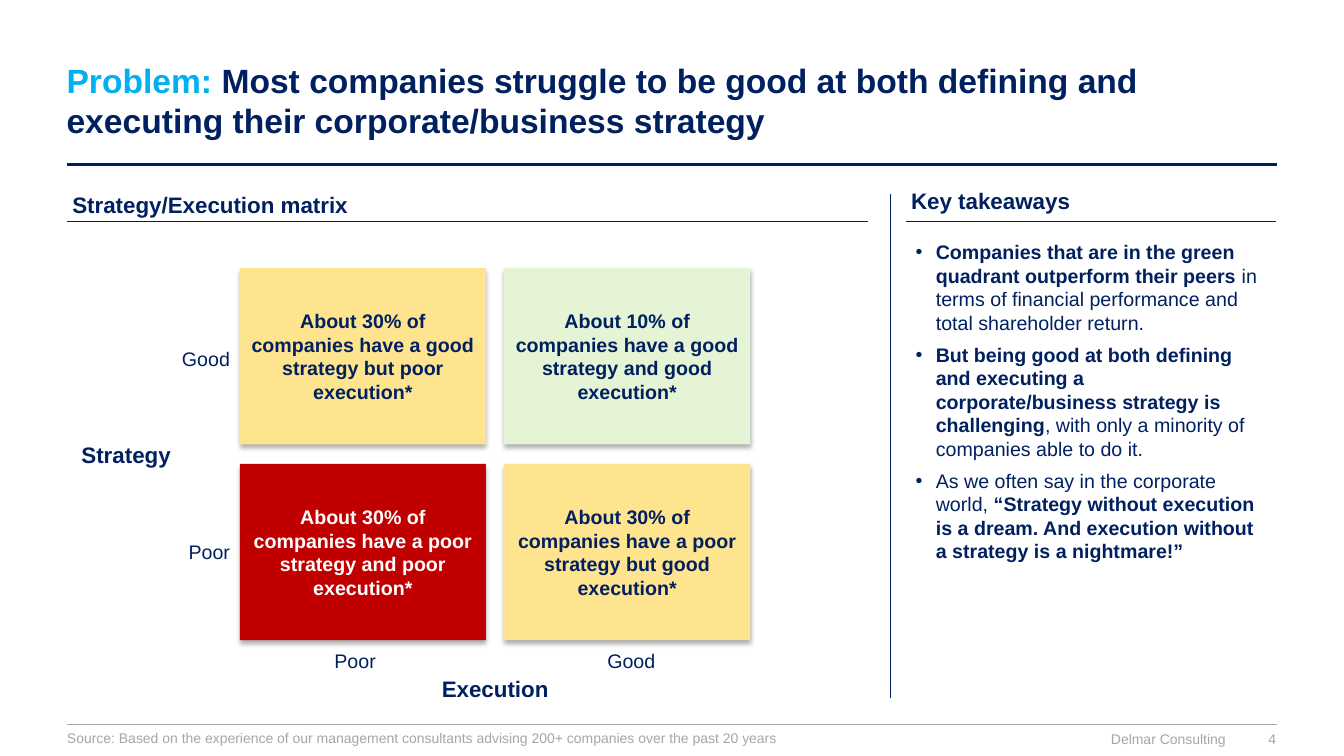
from lxml.etree import SubElement
from pptx import Presentation
from pptx.dml.color import RGBColor
from pptx.enum.shapes import MSO_CONNECTOR, MSO_SHAPE
from pptx.enum.text import MSO_ANCHOR, PP_ALIGN
from pptx.oxml.ns import qn
from pptx.util import Pt

COLORS = {
    "navy": "002060", "sky": "00B0F0", "gray": "A6A6A6", "white": "FFFFFF",
    "yellow": "FFE48F", "green": "E5F4D4", "red": "C00000", "black": "000000",
}
FONT = "Arial"
LEFT, CENTER, RIGHT = PP_ALIGN.LEFT, PP_ALIGN.CENTER, PP_ALIGN.RIGHT
TOP, MIDDLE = MSO_ANCHOR.TOP, MSO_ANCHOR.MIDDLE

TITLE = [
    ("Problem: ", True, "sky"),
    ("Most companies struggle to be good at both defining and executing "
     "their corporate/business strategy", True, "navy"),
]
TAKEAWAYS = [
    [("Companies that are in the green quadrant outperform their peers ", True, "navy"),
     ("in terms of financial performance and total shareholder return.", False, "navy")],
    [("But being good at both defining and executing a corporate/business "
      "strategy is challenging", True, "navy"),
     (", with only a minority of companies able to do it.", False, "navy")],
    [("As we often say in the corporate world, ", False, "navy"),
     ("“Strategy without execution is a dream. And execution without "
      "a strategy is a nightmare!”", True, "navy")],
]
QUADRANTS = [
    [("30%", "good strategy but poor", "yellow", "navy"),
     ("10%", "good strategy and good", "green", "navy")],
    [("30%", "poor strategy and poor", "red", "white"),
     ("30%", "poor strategy but good", "yellow", "navy")],
]
AXIS_LABELS = [
    ("Poor", 231.8, 458.6, LEFT), ("Good", 421.2, 458.6, RIGHT),
    ("Good", 117.4, 242.6, RIGHT), ("Poor", 117.4, 380.4, RIGHT),
]
AXIS_TITLES = [("Strategy", 31.4, 311.2), ("Execution", 295, 478.8)]
HEADINGS = [
    ("Strategy/Execution matrix", 44.6, 132.8, 573.8),
    ("Key takeaways", 643.7, 130.3, 265),
]
SOURCE = ("Source: Based on the experience of our management consultants "
          "advising 200+ companies over the past 20 years")
FIRM = "Delmar Consulting"
PAGE = "4"
RULES = [
    (47.7, 117.4, 912.2, 117.4, "navy", 2),
    (47.7, 517.7, 912.2, 517.7, "gray", 1),
    (47.7, 158.4, 620, 158.4, "navy", 0.5),
    (647.3, 158.4, 911.5, 158.4, "navy", 0.5),
    (635.8, 498.7, 635.8, 138.7, "navy", 0.5),
]
MATRIX_LEFT, MATRIX_TOP = 171.4, 191.5
QUADRANT_WIDTH, QUADRANT_HEIGHT = 175.7, 126
COLUMN_STEP, ROW_STEP = 188.8, 139.8
LABEL_WIDTH, LABEL_HEIGHT = 54, 26.6
AXIS_TITLE_WIDTH = 117.4


def rgb(color):
    return RGBColor.from_string(COLORS[color])


def add_bullet(paragraph):
    properties = paragraph._p.get_or_add_pPr()
    properties.set("marL", str(Pt(14.4)))
    properties.set("indent", str(-Pt(14.4)))
    SubElement(properties, qn("a:buFont")).set("typeface", FONT)
    SubElement(properties, qn("a:buChar")).set("char", "•")


def write(frame, paragraphs, size, align=LEFT, anchor=TOP, wrap=True,
          inset=True, bullets=False):
    frame.word_wrap = wrap
    frame.vertical_anchor = anchor
    if not inset:
        frame.margin_left = frame.margin_right = 0
        frame.margin_top = frame.margin_bottom = 0
    for index, runs in enumerate(paragraphs):
        paragraph = frame.add_paragraph() if index else frame.paragraphs[0]
        if bullets:
            add_bullet(paragraph)
            paragraph.space_before = Pt(3 if index else 0)
            paragraph.space_after = Pt(3)
        paragraph.alignment = align
        for words, bold, color in runs:
            run = paragraph.add_run()
            run.text = words
            run.font.name = FONT
            run.font.size = Pt(size)
            run.font.bold = bold
            run.font.color.rgb = rgb(color)


def add_text(slide, box, paragraphs, size, **layout):
    textbox = slide.shapes.add_textbox(*map(Pt, box))
    write(textbox.text_frame, paragraphs, size, **layout)


def add_rule(slide, x1, y1, x2, y2, color, weight):
    rule = slide.shapes.add_connector(MSO_CONNECTOR.STRAIGHT, *map(Pt, (x1, y1, x2, y2)))
    rule.line.color.rgb = rgb(color)
    rule.line.width = Pt(weight)
    SubElement(rule._element.spPr, qn("a:effectLst"))


def add_shadow(quadrant):
    quadrant.shadow.inherit = False
    effects = quadrant._element.spPr.find(qn("a:effectLst"))
    shadow = SubElement(effects, qn("a:outerShdw"), blurRad=str(Pt(3.5)),
                        dist=str(Pt(2.2)), dir="5400000", algn="t", rotWithShape="0")
    tint = SubElement(shadow, qn("a:srgbClr"), val=COLORS["black"])
    SubElement(tint, qn("a:alpha"), val="32000")


def add_quadrant(slide, row, column, share, traits, fill, ink):
    box = (MATRIX_LEFT + column * COLUMN_STEP, MATRIX_TOP + row * ROW_STEP,
           QUADRANT_WIDTH, QUADRANT_HEIGHT)
    quadrant = slide.shapes.add_shape(MSO_SHAPE.RECTANGLE, *map(Pt, box))
    quadrant.fill.solid()
    quadrant.fill.fore_color.rgb = rgb(fill)
    quadrant.line.fill.background()
    add_shadow(quadrant)
    statement = f"About {share} of companies have a {traits} execution*"
    write(quadrant.text_frame, [[(statement, True, ink)]], 14, align=CENTER, anchor=MIDDLE)


def main():
    deck = Presentation()
    deck.slide_width, deck.slide_height = Pt(960), Pt(540)
    slide = deck.slides.add_slide(deck.slide_layouts[6])

    for rule in RULES:
        add_rule(slide, *rule)
    add_text(slide, (40.5, 28.8, 872, 85), [TITLE], 24, anchor=MIDDLE)
    for heading, x, y, width in HEADINGS:
        add_text(slide, (x, y, width, LABEL_HEIGHT), [[(heading, True, "navy")]], 16)
    add_text(slide, (647, 167.8, 263.5, 260.6), TAKEAWAYS, 14, bullets=True)

    for row, quadrants in enumerate(QUADRANTS):
        for column, quadrant in enumerate(quadrants):
            add_quadrant(slide, row, column, *quadrant)
    for label, x, y, align in AXIS_LABELS:
        add_text(slide, (x, y, LABEL_WIDTH, LABEL_HEIGHT), [[(label, False, "navy")]], 14,
                 align=align, anchor=MIDDLE, wrap=False)
    for axis, x, y in AXIS_TITLES:
        add_text(slide, (x, y, AXIS_TITLE_WIDTH, LABEL_HEIGHT), [[(axis, True, "navy")]], 16,
                 align=CENTER, anchor=MIDDLE, wrap=False)

    add_text(slide, (40.8, 517.7, 566.6, 19.4), [[(SOURCE, False, "gray")]], 10, anchor=MIDDLE)
    add_text(slide, (678.2, 522, 197.3, 12.2), [[(FIRM, False, "gray")]], 10,
             align=RIGHT, inset=False)
    add_text(slide, (883.4, 520.3, 28.1, 15.1), [[(PAGE, False, "gray")]], 10,
             align=RIGHT, anchor=MIDDLE, inset=False)
    deck.save("out.pptx")


if __name__ == "__main__":
    main()
